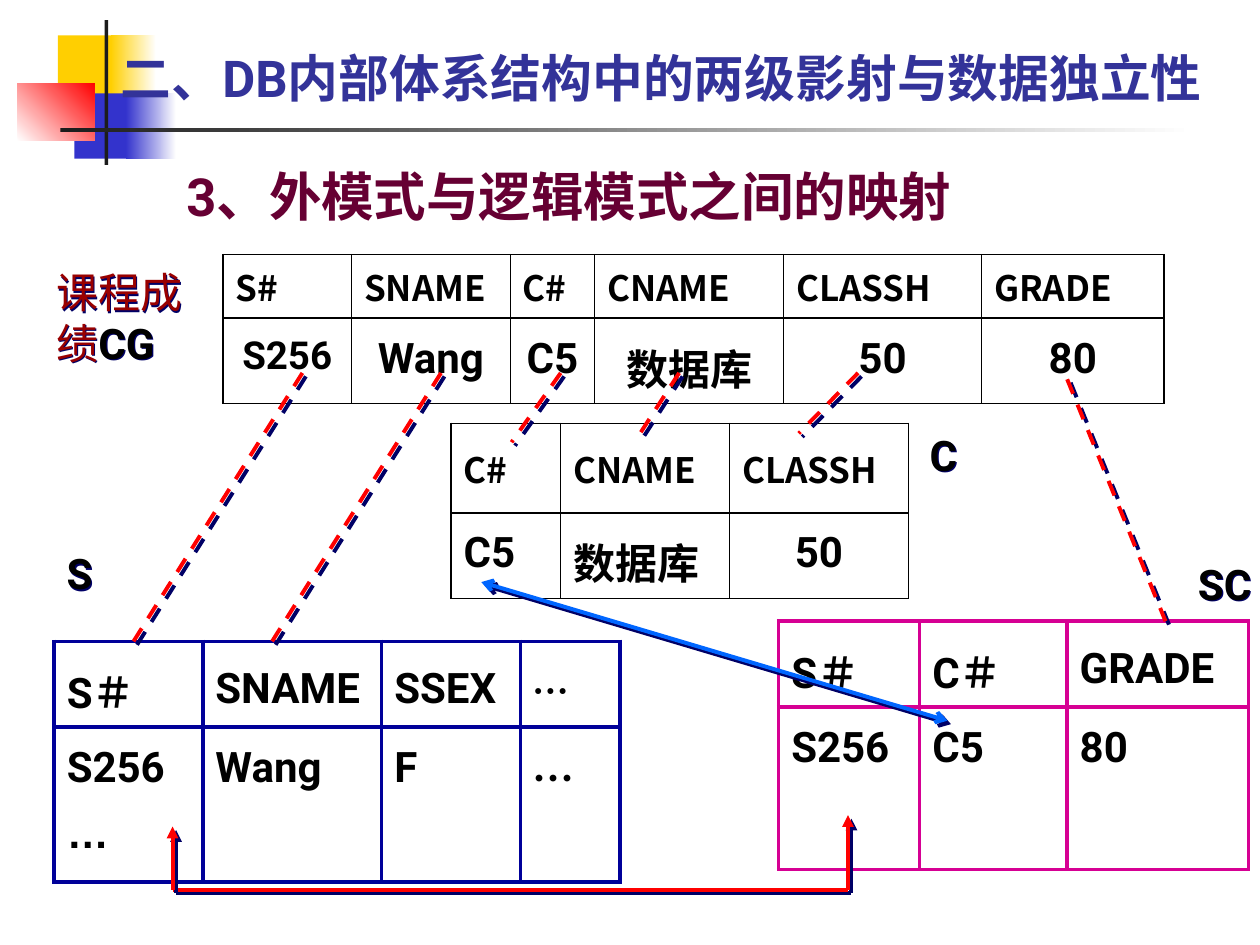
"""Build the slide on mappings between external schemas and the logical schema."""
import dataclasses

import lxml.etree
import pptx
import pptx.dml.color
import pptx.enum.dml
import pptx.enum.shapes
import pptx.enum.text
import pptx.oxml
import pptx.oxml.ns
import pptx.util

ANCHOR = pptx.enum.text.MSO_ANCHOR
qn = pptx.oxml.ns.qn


@dataclasses.dataclass(frozen=True)
class Theme:
    latin: str = "Roboto"
    asian: str = "Noto Sans CJK SC"
    plain: str = "Arial"
    body: int = 24
    narrow: int = 22
    dots: int = 21
    header: int = 20
    subtitle: int = 30
    title: int = 29
    black: str = "000000"
    white: str = "FFFFFF"
    ink: str = "1C1C1C"
    yellow: str = "FFCF01"
    blue: str = "3333CC"
    red: str = "FF0000"
    sky: str = "0066FF"
    navy: str = "000066"
    student: str = "000099"
    score: str = "D60093"
    caption: str = "990000"
    maroon: str = "660033"
    indigo: str = "333399"
    stroke: float = 2.25
    hairline: float = 1


THEME = Theme()


@dataclasses.dataclass(frozen=True)
class Words:
    text: str
    size: int = THEME.body
    font: str = THEME.latin
    color: str = THEME.black
    bold: bool = True


@dataclasses.dataclass(frozen=True)
class Row:
    height: float
    cells: list
    anchor: object = ANCHOR.TOP
    spacing: float = 1.2
    centered: tuple = ()


def rgb(value):
    return pptx.dml.color.RGBColor.from_string(value)


def child(parent, tag, **attributes):
    return lxml.etree.SubElement(parent, qn(tag), attributes)


def headers(*names):
    return [[[Words(name, THEME.header, THEME.asian)]] for name in names]


def values(*names):
    return [[[Words(name)]] for name in names]


class Sheet:
    """Holds the theme and the page; lengths are grid cells of a tenth of an inch."""

    def __init__(self, deck, theme, columns=100, rows=75):
        self.theme = theme
        self.column = deck.slide_width / columns
        self.row = deck.slide_height / rows
        self.page = deck.slides.add_slide(deck.slide_layouts[6])

    def place(self, *lengths):
        return [round(n * (self.row if i % 2 else self.column)) for i, n in enumerate(lengths)]

    def shadow(self, shape, distance):
        effects = child(shape._element.spPr, "a:effectLst")
        outer = child(effects, "a:outerShdw", dist=str(pptx.util.Pt(distance)),
                      dir="2700000", algn="ctr", rotWithShape="0")
        child(outer, "a:srgbClr", val=self.theme.navy)

    def fill_text(self, frame, paragraphs, spacing=None, align=None):
        for index, spans in enumerate(paragraphs):
            para = frame.add_paragraph() if index else frame.paragraphs[0]
            para.alignment = align
            para.line_spacing = spacing
            if index and spacing:
                para.space_before = pptx.util.Pt(0.2 * spans[0].size)
            for words in spans:
                span = para.add_run()
                span.text = words.text
                span.font.name = words.font
                span.font.size = pptx.util.Pt(words.size)
                span.font.bold = words.bold
                span.font.color.rgb = rgb(words.color)
                child(span.font._element, "a:ea", typeface=self.theme.asian)

    def block(self, area, color, fade=None, angle=0):
        shape = self.page.shapes.add_shape(
            pptx.enum.shapes.MSO_SHAPE.RECTANGLE, *self.place(*area))
        shape.shadow.inherit = False
        shape.line.fill.background()
        if fade is None:
            shape.fill.solid()
            shape.fill.fore_color.rgb = rgb(color)
            return
        shape.fill.gradient()
        shape.fill.gradient_angle = angle
        for stop, position, tone in zip(shape.fill.gradient_stops, (0, 1), (color, fade)):
            stop.position = position
            stop.color.rgb = rgb(tone)

    def text(self, area, paragraphs, wrap=True, anchor=ANCHOR.TOP, spacing=None,
             inset=1, shadow=False):
        box = self.page.shapes.add_textbox(*self.place(*area))
        frame = box.text_frame
        frame.word_wrap = wrap
        frame.vertical_anchor = anchor
        frame.margin_left = round(inset * self.column)
        self.fill_text(frame, paragraphs, spacing)
        if shadow:
            self.shadow(box, 1)

    def line(self, start, end, color, dashed=False, head=None, tail=None):
        link = self.page.shapes.add_connector(
            pptx.enum.shapes.MSO_CONNECTOR.STRAIGHT, *self.place(*start, *end))
        link.line.color.rgb = rgb(color)
        link.line.width = pptx.util.Pt(self.theme.stroke)
        if dashed:
            link.line.dash_style = pptx.enum.dml.MSO_LINE.DASH
        for tag, kind in (("a:headEnd", head), ("a:tailEnd", tail)):
            if kind:
                child(link._element.spPr.find(qn("a:ln")), tag, type=kind)
        self.shadow(link, 2.8)

    def border(self, cell, color, width):
        cell.fill.background()
        properties = cell._tc.get_or_add_tcPr()
        for index, side in enumerate(("a:lnL", "a:lnR", "a:lnT", "a:lnB")):
            edge = child(properties, side, w=str(pptx.util.Pt(width)))
            child(child(edge, "a:solidFill"), "a:srgbClr", val=color)
            properties.insert(index, edge)

    def table(self, corner, widths, rows, color, width):
        size = sum(widths), sum(row.height for row in rows)
        grid = self.page.shapes.add_table(
            len(rows), len(widths), *self.place(*corner, *size)).table
        grid.first_row = grid.horz_banding = False
        for column, span in zip(grid.columns, widths):
            column.width = round(span * self.column)
        for r, row in enumerate(rows):
            grid.rows[r].height = round(row.height * self.row)
            for c, paragraphs in enumerate(row.cells):
                cell = grid.cell(r, c)
                cell.vertical_anchor = row.anchor
                align = pptx.enum.text.PP_ALIGN.CENTER if c in row.centered else None
                self.fill_text(cell.text_frame, paragraphs, row.spacing, align)
                self.border(cell, color, width)


def main():
    deck = pptx.Presentation()
    deck.slide_width, deck.slide_height = pptx.util.Inches(10), pptx.util.Inches(7.5)
    sheet = Sheet(deck, THEME)

    sheet.block((4.6, 2.8, 4.8, 5.2), THEME.yellow)
    sheet.block((8.8, 2.8, 3.6, 5.2), THEME.yellow, THEME.white)
    sheet.block((5.9, 7.4, 4.6, 5.2), THEME.blue)
    sheet.block((10, 7.4, 4, 5.2), THEME.blue, THEME.white)
    sheet.block((1.4, 6.6, 6.1, 4.6), THEME.white, THEME.red, 45)
    sheet.block((8.3, 1.6, 0.3, 11.5), THEME.ink)
    sheet.block((4.8, 10.2, 90, 0.3), THEME.ink, THEME.white)

    dots = Words("…", font=THEME.asian)
    sheet.table((4.3, 50.9), (11.8, 14.2, 11, 7.9), [
        Row(5.8, values("S＃", "SNAME", "SSEX")
            + [[[dataclasses.replace(dots, size=THEME.dots)]]], ANCHOR.MIDDLE),
        Row(12.3, [[[Words("S256")], [Words("…", font=THEME.plain)]]]
            + values("Wang", "F") + [[[dots]]]),
    ], THEME.student, THEME.stroke)
    sheet.table((61.8, 49.3), (11.2, 11.7, 14.4), [
        Row(6, values("S＃", "C＃", "GRADE"), ANCHOR.MIDDLE),
        Row(12.9, values("S256", "C5", "80")),
    ], THEME.score, THEME.stroke)
    sheet.table((17.7, 20.2), (10.2, 12.6, 6.7, 15, 15.7, 14.5), [
        Row(4.3, headers("S#", "SNAME", "C#", "CNAME", "CLASSH", "GRADE"), spacing=None),
        Row(5.8, [[[Words("S256", THEME.narrow)]]]
            + values("Wang", "C5", "数据库", "50", "80"), centered=range(6)),
    ], THEME.black, THEME.hairline)
    sheet.table((35.8, 33.6), (8.7, 13.4, 14.2), [
        Row(7.1, headers("C#", "CNAME", "CLASSH"), ANCHOR.MIDDLE, None),
        Row(6.7, values("C5", "数据库", "50"), centered=(2,)),
    ], THEME.black, THEME.hairline)

    for start, end in (((24, 29.6), (10.6, 50.9)), ((35, 29.6), (21.6, 50.9)),
                       ((44.5, 29.6), (40.6, 35.1)), ((53.9, 29.6), (50.8, 34.4)),
                       ((68.1, 29.6), (63.4, 34.4)), ((84.7, 30.1), (92.5, 49.3))):
        sheet.line(start, end, THEME.red, dashed=True)
    left, right, base = 13.7, 67.3, 70.6
    sheet.line((left, base), (right, base), THEME.red)
    for side, tip in ((right, 64.7), (left, 65.6)):
        sheet.line((side, base), (side, tip), THEME.red, tail="triangle")
    sheet.line((38.2, 46.2), (75.2, 57.2), THEME.sky, head="arrow", tail="arrow")

    caption = Words("课程成", color=THEME.caption, bold=False)
    sheet.text((3.5, 20.7, 13.4, 9), [
        [caption], [dataclasses.replace(caption, text="绩"), Words("CG")]], shadow=True)
    for name, area in (("S", (4.3, 43, 4.1, 5)), ("SC", (94.1, 43.8, 6.4, 5)),
                       ("C", (72.8, 33.6, 4.2, 5))):
        sheet.text(area, [[Words(name)]], wrap=False, shadow=True)
    sheet.text((5.1, 11.5, 87.4, 7.1), [[Words(
        "3、外模式与逻辑模式之间的映射", THEME.subtitle, color=THEME.maroon)]],
        spacing=1.2, inset=9.7)
    sheet.text((8.6, 2.2, 90.5, 6.8), [[Words(
        "二、DB内部体系结构中的两级影射与数据独立性", THEME.title, color=THEME.indigo)]],
        anchor=ANCHOR.BOTTOM)
    deck.save("out.pptx")


if __name__ == "__main__":
    main()
